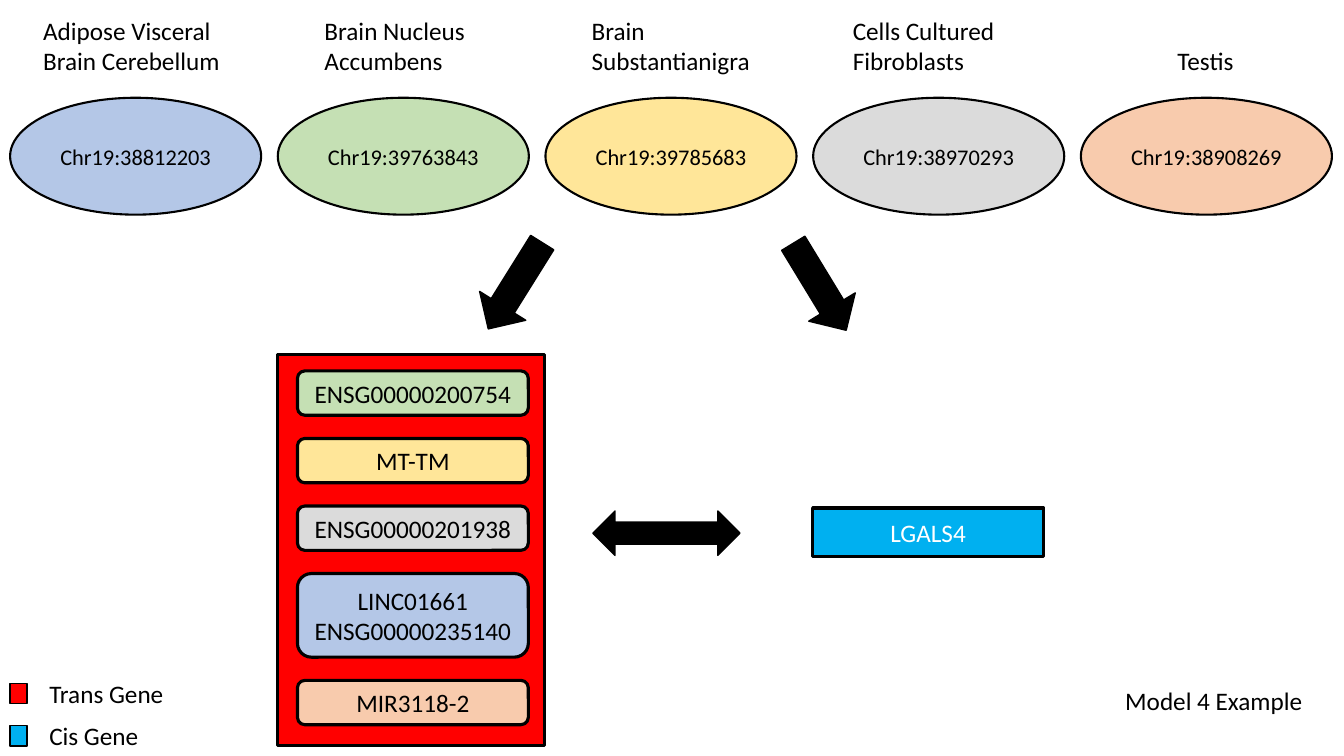
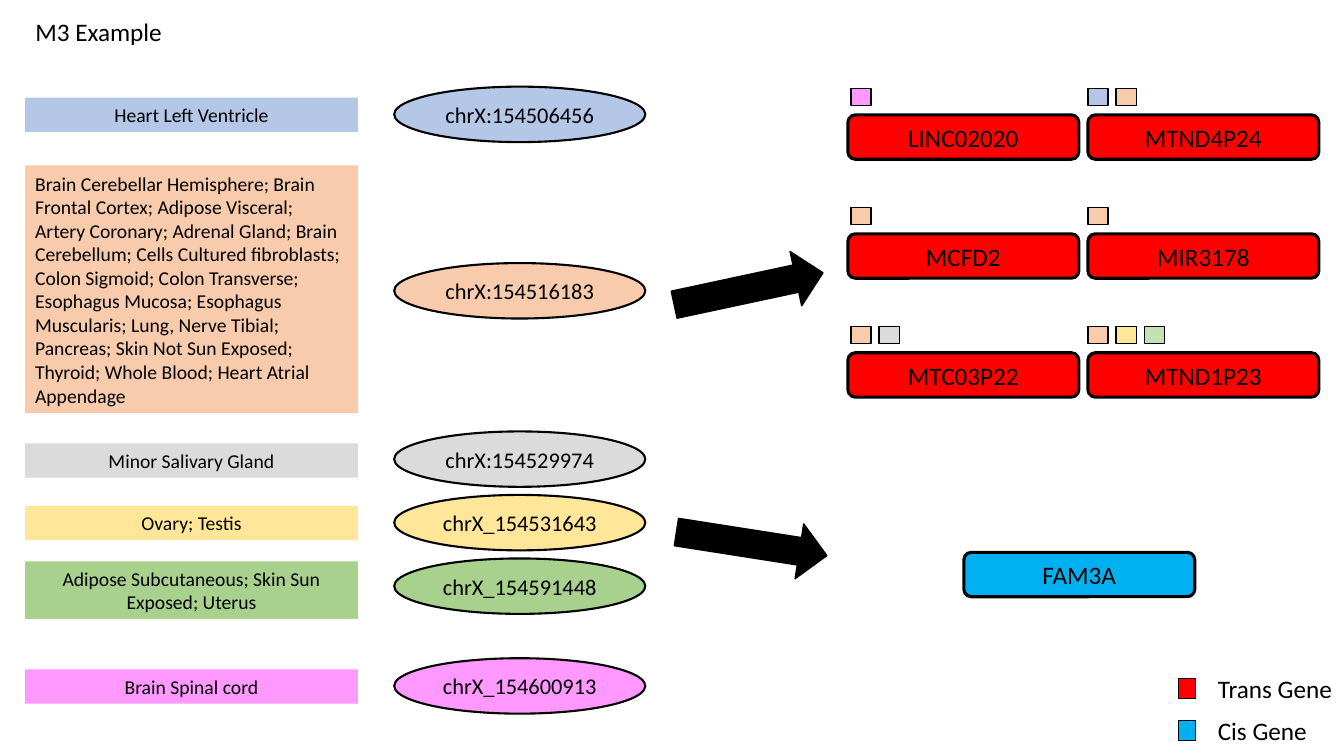
import pptx
import pptx.util
import pptx.dml.color
import pptx.enum.shapes
import pptx.enum.text

Inches, Pt = pptx.util.Inches, pptx.util.Pt
MSO = pptx.enum.shapes.MSO_SHAPE
ALIGN = pptx.enum.text.PP_ALIGN
MIDDLE = pptx.enum.text.MSO_ANCHOR.MIDDLE

# Shared colours and sizes
BLACK, WHITE, RED, CYAN = "000000", "FFFFFF", "FF0000", "00B0F0"
BLUE, PEACH, GREY, YELLOW = "B4C7E7", "F8CBAD", "DBDBDB", "FFE699"
GREEN, LEAF, PINK = "C5E0B4", "A9D18E", "FF99FF"
FONT = "Calibri"
OVAL_W, GENE_W, GENE_H = 2.49, 2.29, 0.44
CHIP_W, CHIP_H, CHIP_STEP = 0.2, 0.17, 0.28

prs = pptx.Presentation()
prs.slide_width, prs.slide_height = Inches(13.33), Inches(7.5)


def write(sp, text, size=18, align=ALIGN.LEFT, color=BLACK, wrap=True):
    tf = sp.text_frame
    tf.text = text
    tf.word_wrap = wrap
    tf.auto_size = pptx.enum.text.MSO_AUTO_SIZE.NONE
    tf.vertical_anchor = MIDDLE
    for p in tf.paragraphs:
        p.alignment = align
        for r in p.runs:
            r.font.name, r.font.size = FONT, Pt(size)
            r.font.color.rgb = pptx.dml.color.RGBColor.from_string(color)


def draw(s, kind, box, fill, line=1, rot=0):
    sp = s.shapes.add_shape(kind, *map(Inches, box))
    sp.shadow.inherit = False
    sp.rotation = rot
    sp.fill.solid()
    sp.fill.fore_color.rgb = pptx.dml.color.RGBColor.from_string(fill)
    if line:
        sp.line.color.rgb = pptx.dml.color.RGBColor.from_string(BLACK)
        sp.line.width = Pt(line)
    else:
        sp.line.fill.background()
    return sp


# Both slides: title and legend
slides = []
for title, title_box, legend_x, legend_y in [
        ("Model 4 Example", (11.06, 6.75, 1.98, 0.4), 0.1, 6.78),
        ("M3 Example", (0.25, 0.11, 1.47, 0.4), 11.69, 6.73)]:
    s = prs.slides.add_slide(prs.slide_layouts[5])
    slides.append(s)
    sp = s.shapes.title
    sp.left, sp.top, sp.width, sp.height = map(Inches, title_box)
    write(sp, title, wrap=False)
    for i, (name, fill) in enumerate([("Trans Gene", RED), ("Cis Gene", CYAN)]):
        y = legend_y + 0.42 * i
        draw(s, MSO.RECTANGLE, (legend_x, y, CHIP_H, CHIP_W), fill)
        sp = s.shapes.add_textbox(*map(Inches, (legend_x + 0.29, y - 0.1, 1.35, 0.4)))
        write(sp, name, wrap=False)

# Slide 1: loci with their tissues above
s = slides[0]
loci = [
    ("Chr19:38812203", BLUE, "Adipose Visceral\nBrain Cerebellum", 0.33, 2.0),
    ("Chr19:39763843", GREEN, "Brain Nucleus Accumbens", 3.12, 1.74),
    ("Chr19:39785683", YELLOW, "Brain Substantianigra", 5.77, 1.8),
    ("Chr19:38970293", GREY, "Cells Cultured Fibroblasts", 8.36, 1.85),
    ("Chr19:38908269", PEACH, "Testis", 11.58, 0.9),
]
for i, (locus, fill, tissue, x, w) in enumerate(loci):
    sp = draw(s, MSO.OVAL, (0.1 + 2.655 * i, 0.97, OVAL_W, 1.16), fill, 1.5)
    write(sp, locus, 16, ALIGN.CENTER)
    h = 0.4 if tissue == "Testis" else 0.7
    sp = s.shapes.add_textbox(*map(Inches, (x, 0.8 - h, w, h)))
    write(sp, tissue)

# Arrows from the loci to the genes, and between the genes
draw(s, MSO.DOWN_ARROW, (4.84, 2.33, 0.54, 1.01), BLACK, rot=32)
draw(s, MSO.DOWN_ARROW, (7.86, 2.34, 0.54, 1.01), BLACK, rot=328.7)
draw(s, MSO.LEFT_RIGHT_ARROW, (5.88, 5.07, 1.46, 0.44), BLACK)

# Trans genes stacked in the red panel
draw(s, MSO.RECTANGLE, (2.75, 3.52, 2.65, 3.88), RED, 2.25)
y = 3.68
for gene, fill, h in [
        ("ENSG00000200754", GREEN, GENE_H), ("MT-TM", YELLOW, GENE_H),
        ("ENSG00000201938", GREY, GENE_H),
        ("LINC01661\nENSG00000235140", BLUE, 0.83), ("MIR3118-2", PEACH, GENE_H)]:
    sp = draw(s, MSO.ROUNDED_RECTANGLE, (2.95, y, GENE_W, h), fill, 2.25)
    write(sp, gene, align=ALIGN.CENTER)
    y += h + 0.23

# Cis gene
sp = draw(s, MSO.RECTANGLE, (8.06, 5.04, GENE_W, 0.48), CYAN, 2.25)
write(sp, "LGALS4", align=ALIGN.CENTER, color=WHITE)

# Slide 2: tissues beside their loci
s = slides[1]
many = ("Brain Cerebellar Hemisphere; Brain Frontal Cortex; Adipose Visceral; "
        "Artery Coronary; Adrenal Gland; Brain Cerebellum; Cells Cultured fibroblasts; "
        "Colon Sigmoid; Colon Transverse; Esophagus Mucosa; Esophagus Muscularis; "
        "Lung, Nerve Tibial; Pancreas; Skin Not Sun Exposed; Thyroid; Whole Blood; "
        "Heart Atrial Appendage")
rows = [
    ("chrX:154506456", 0.86, BLUE, "Heart Left Ventricle", 0.97, 0.34),
    ("chrX:154516183", 2.61, PEACH, many, 1.64, 2.46),
    ("chrX:154529974", 4.28, GREY, "Minor Salivary Gland", 4.4, 0.34),
    ("chrX_154531643", 4.91, YELLOW, "Ovary; Testis", 5.02, 0.34),
    ("chrX_154591448", 5.54, LEAF, "Adipose Subcutaneous; Skin Sun Exposed; Uterus",
     5.57, 0.57),
    ("chrX_154600913", 6.53, PINK, "Brain Spinal cord", 6.64, 0.34),
]
for locus, oval_y, fill, tissue, y, h in rows:
    sp = draw(s, MSO.RECTANGLE, (0.25, y, 3.3, h), fill, 0)
    write(sp, tissue, 14, ALIGN.LEFT if tissue == many else ALIGN.CENTER)
    sp = draw(s, MSO.OVAL, (3.91, oval_y, OVAL_W, 0.55), fill, 1.5)
    write(sp, locus, 16, ALIGN.CENTER)

# Arrows from the loci to the genes
draw(s, MSO.RIGHT_ARROW, (6.67, 2.59, 1.51, 0.55), BLACK, rot=347.9)
draw(s, MSO.RIGHT_ARROW, (6.7, 5.12, 1.51, 0.55), BLACK, rot=8.9)

# Trans genes in two columns, with chips for the loci that act on them
columns = [
    (8.41, 8.44, [("LINC02020", [PINK]), ("MCFD2", [PEACH]),
                  ("MTC03P22", [PEACH, GREY])]),
    (10.79, 10.79, [("MTND4P24", [BLUE, PEACH]), ("MIR3178", [PEACH]),
                    ("MTND1P23", [PEACH, YELLOW, GREEN])]),
]
for x, chip_x, genes in columns:
    for i, (gene, chips) in enumerate(genes):
        y = 1.14 + 1.18 * i
        sp = draw(s, MSO.ROUNDED_RECTANGLE, (x, y, GENE_W, GENE_H), RED, 2.25)
        write(sp, gene, align=ALIGN.CENTER)
        for j, fill in enumerate(chips):
            draw(s, MSO.RECTANGLE,
                 (chip_x + CHIP_STEP * j, y - 0.26, CHIP_W, CHIP_H), fill)

# Cis gene
sp = draw(s, MSO.ROUNDED_RECTANGLE, (9.56, 5.48, GENE_W, GENE_H), CYAN, 2.25)
write(sp, "FAM3A", align=ALIGN.CENTER)

prs.save("out.pptx")
